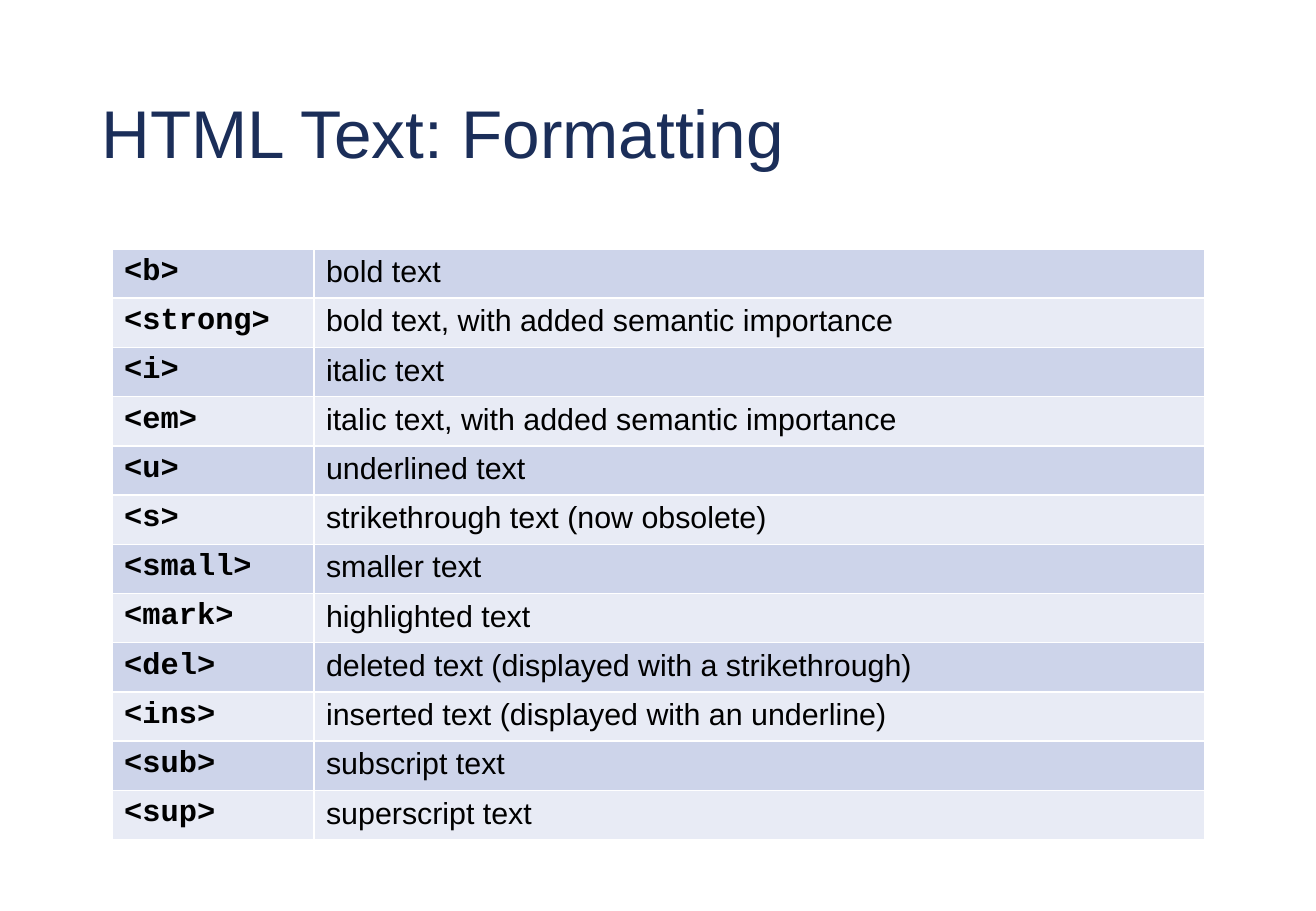
from lxml.etree import SubElement
from pptx import Presentation
from pptx.dml.color import RGBColor as Rgb
from pptx.enum.text import MSO_ANCHOR as Anchor
from pptx.oxml.ns import qn
from pptx.util import Pt

PX = 7526
SLIDE_SIZE = (1316, 911)
TITLE_BOX = (90, 49, 1135, 176)
TAGS_BOX = (112, 249, 1093, 591)
TAG_COLUMN = 202
COLORS = {
    "title": "1B2E59",
    "text": "000000",
    "odd": "CDD4EA",
    "even": "E8EBF5",
    "border": "FFFFFF",
}
TAGS = [
    ("<b>", "bold text"),
    ("<strong>", "bold text, with added semantic importance"),
    ("<i>", "italic text"),
    ("<em>", "italic text, with added semantic importance"),
    ("<u>", "underlined text"),
    ("<s>", "strikethrough text (now obsolete)"),
    ("<small>", "smaller text"),
    ("<mark>", "highlighted text"),
    ("<del>", "deleted text (displayed with a strikethrough)"),
    ("<ins>", "inserted text (displayed with an underline)"),
    ("<sub>", "subscript text"),
    ("<sup>", "superscript text"),
]


def write(frame, text, size=18, font="Arial", color="text", bold=False, spacing=1.0):
    """Write one formatted paragraph into a text frame."""
    paragraph = frame.paragraphs[0]
    paragraph.line_spacing = spacing
    run = paragraph.add_run()
    run.text = text
    run.font.size = Pt(size)
    run.font.name = font
    run.font.bold = bold
    run.font.color.rgb = Rgb.from_string(COLORS[color])


def paint_cell(cell, band):
    """Give a table cell thin borders and its band colour."""
    properties = cell._tc.get_or_add_tcPr()
    for side in ("lnL", "lnR", "lnT", "lnB"):
        border = SubElement(properties, qn(f"a:{side}"), w=str(Pt(1)))
        border_fill = SubElement(border, qn("a:solidFill"))
        SubElement(border_fill, qn("a:srgbClr"), val=COLORS["border"])
    cell.fill.solid()
    cell.fill.fore_color.rgb = Rgb.from_string(COLORS[band])


def add_title(slide, box, text):
    """Place the slide title in the given box."""
    title = slide.shapes.add_textbox(*(length * PX for length in box))
    title.text_frame.word_wrap = True
    title.text_frame.vertical_anchor = Anchor.MIDDLE
    write(title.text_frame, text, size=40, color="title", spacing=0.9)


def add_tags(slide, box, tags):
    """Place the table of tags and their meanings in the given box."""
    table = slide.shapes.add_table(len(tags), 2, *(length * PX for length in box)).table
    table.first_row = False
    table.columns[0].width = TAG_COLUMN * PX
    table.columns[1].width = (box[2] - TAG_COLUMN) * PX
    for index, (tag, meaning) in enumerate(tags):
        tag_cell, meaning_cell = table.rows[index].cells
        for cell in (tag_cell, meaning_cell):
            paint_cell(cell, "even" if index % 2 else "odd")
        write(tag_cell.text_frame, tag, font="Courier New", bold=True)
        write(meaning_cell.text_frame, meaning)


def main():
    """Build and save the slide."""
    deck = Presentation()
    deck.slide_width, deck.slide_height = (length * PX for length in SLIDE_SIZE)
    slide = deck.slides.add_slide(deck.slide_layouts[6])
    add_title(slide, TITLE_BOX, "HTML Text: Formatting")
    add_tags(slide, TAGS_BOX, TAGS)
    deck.save("out.pptx")


if __name__ == "__main__":
    main()
